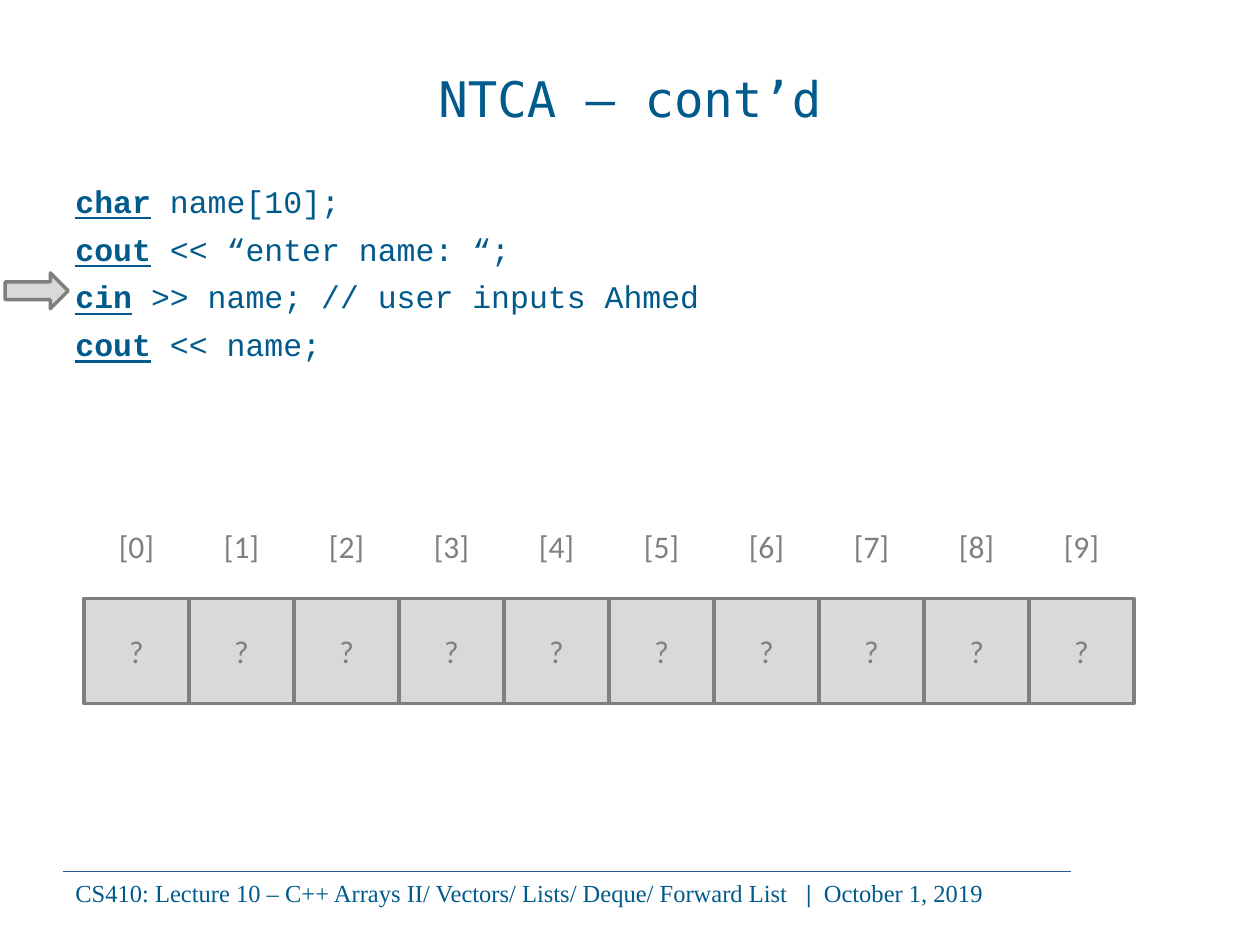
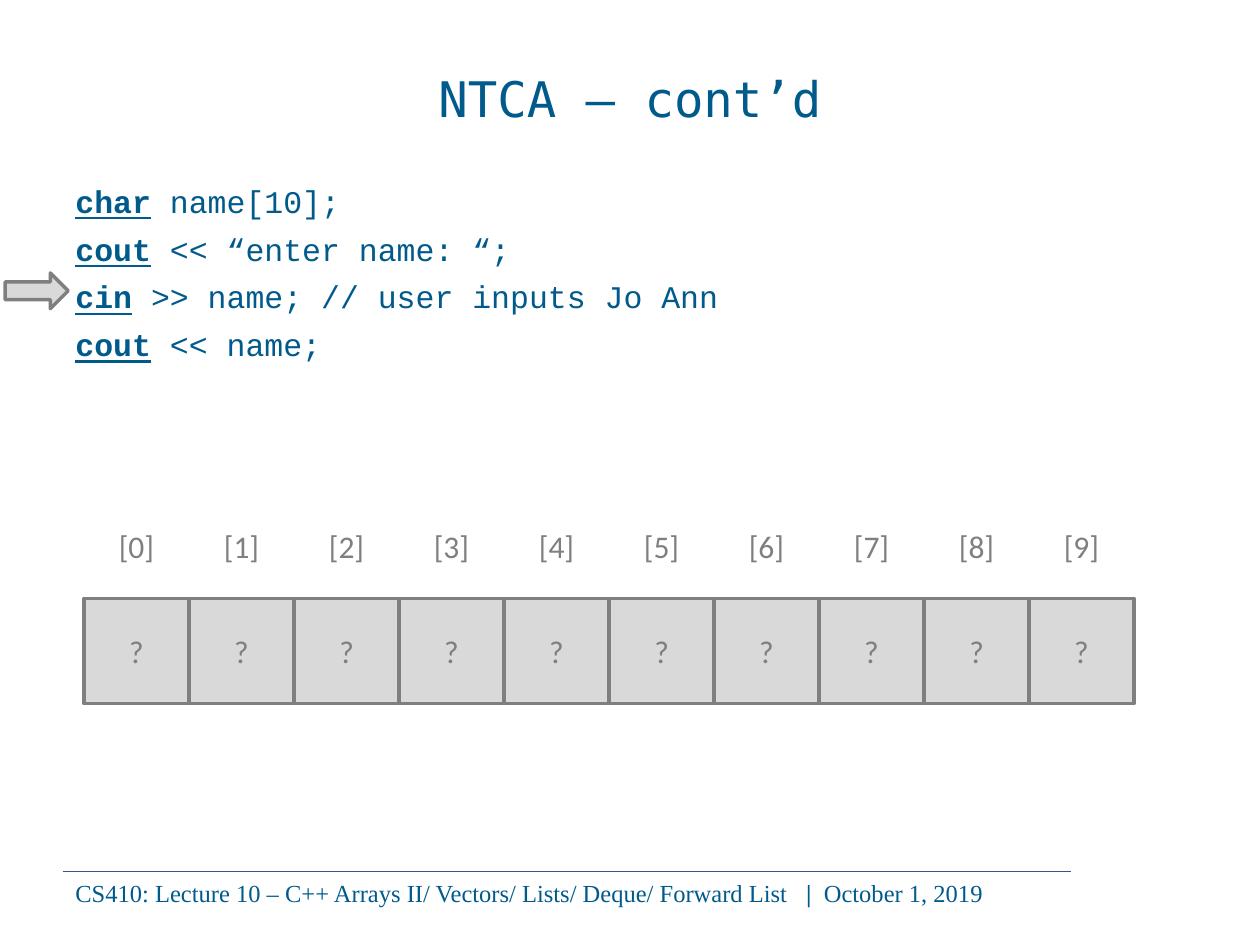
from pptx import Presentation
from pptx.dml.color import RGBColor
from pptx.enum.shapes import MSO_CONNECTOR, MSO_SHAPE
from pptx.enum.text import MSO_ANCHOR, PP_ALIGN
from pptx.oxml.ns import qn
from pptx.util import Inches, Pt
from lxml import etree

RECT, ARROW = MSO_SHAPE.RECTANGLE, MSO_SHAPE.RIGHT_ARROW
STRAIGHT = MSO_CONNECTOR.STRAIGHT
TOP, MID = MSO_ANCHOR.TOP, MSO_ANCHOR.MIDDLE
LEFT, CENTER = PP_ALIGN.LEFT, PP_ALIGN.CENTER
BLUE, RULE, GRAY, PALE = "005A8B", "2D588D", "7F7F7F", "D9D9D9"

# Text styles: font values, colour, alignment, anchor
TITLE = ({"name": "DejaVu Sans Mono", "size": Pt(28)}, BLUE, CENTER, MID)
CODE = ({"name": "Courier New", "size": Pt(18)}, BLUE, LEFT, TOP)
CELL = ({"name": "Calibri", "size": Pt(18)}, GRAY, CENTER, MID)
FOOT = ({"name": "Times New Roman", "size": Pt(14)}, BLUE, LEFT, TOP)
KEY = {"bold": True, "underline": True}
BOLD = {"bold": True}

deck = Presentation()
deck.slide_width, deck.slide_height = Inches(10), Inches(7.5)
unit = deck.slide_width / 12  # 12 columns by 9 rows of square fields


def color(code):
    return RGBColor.from_string(code)


def write(shape, lines, style, gap=0):
    """Fill a shape with lines, each a list of (text, extra format) runs."""
    base, tint, align, anchor = style
    frame = shape.text_frame
    frame.word_wrap, frame.vertical_anchor = True, anchor
    for i, runs in enumerate(lines):
        para = frame.add_paragraph() if i else frame.paragraphs[0]
        para.alignment = align
        if i:
            para.space_before = Pt(gap)
        for text, extra in runs:
            run = para.add_run()
            run.text = text
            run.font.color.rgb = color(tint)
            for name, value in {**base, **extra}.items():
                setattr(run.font, name, value)
    return frame


for user in ("Ahmed", "Jo Ann"):
    slide = deck.slides.add_slide(deck.slide_layouts[6])
    shapes = slide.shapes

    # Footer rule and text
    rule = shapes.add_connector(STRAIGHT, *[int(n * unit) for n in (0.6, 8.3, 10.2, 8.3)])
    rule.line.color.rgb, rule.line.width = color(RULE), Pt(0.5)
    etree.SubElement(rule._element.spPr, qn("a:effectLst"))

    foot = shapes.add_textbox(*[int(n * unit) for n in (0.6, 8.3, 9.8, 0.68)])
    frame = write(foot, [[
        ("CS410: Lecture 10 – C++ Arrays II/ Vectors/ Lists/ Deque/ Forward List\t", {}),
        ("|\t", BOLD),
        ("October 1, 2019", {}),
    ]], FOOT)
    tabs = etree.SubElement(frame.paragraphs[0]._p.get_or_add_pPr(), qn("a:tabLst"))
    for stop in (5.8, 5.94):
        etree.SubElement(tabs, qn("a:tab"), pos=str(Inches(stop)), algn="l")

    # Title
    title = shapes.add_textbox(*[int(n * unit) for n in (0.6, 0.36, 10.8, 1.14)])
    write(title, [[("NTCA – cont’d", {})]], TITLE)

    # Code with marked keywords
    code = shapes.add_textbox(*[int(n * unit) for n in (0.6, 1.6, 11, 6.45)])
    code.text_frame.margin_top = Inches(0.11)
    write(code, [[(word, KEY), (rest, {})] for word, rest in (
        ("char", " name[10];"),
        ("cout", " << “enter name: “;"),
        ("cin", f" >> name; // user inputs {user}"),
        ("cout", " << name;"),
    )], CODE, gap=5.7)

    # Array cells with an index above each, then the arrow to the current line
    solid = []
    for i in range(10):
        x, side = int((0.8 + i) * unit), int(unit)
        cell = shapes.add_shape(RECT, x, int(5.7 * unit), side, side)
        write(cell, [[("?", {})]], CELL)
        solid.append(cell)
        label = shapes.add_textbox(x, int(4.7 * unit), side, side)
        write(label, [[(f"[{i}]", {})]], CELL)
    solid.append(shapes.add_shape(ARROW, *[int(n * unit) for n in (0.05, 2.6, 0.6, 0.34)]))

    for shape in solid:
        shape.shadow.inherit = False
        shape.fill.solid()
        shape.fill.fore_color.rgb = color(PALE)
        shape.line.color.rgb, shape.line.width = color(GRAY), Pt(2)

deck.save("out.pptx")
